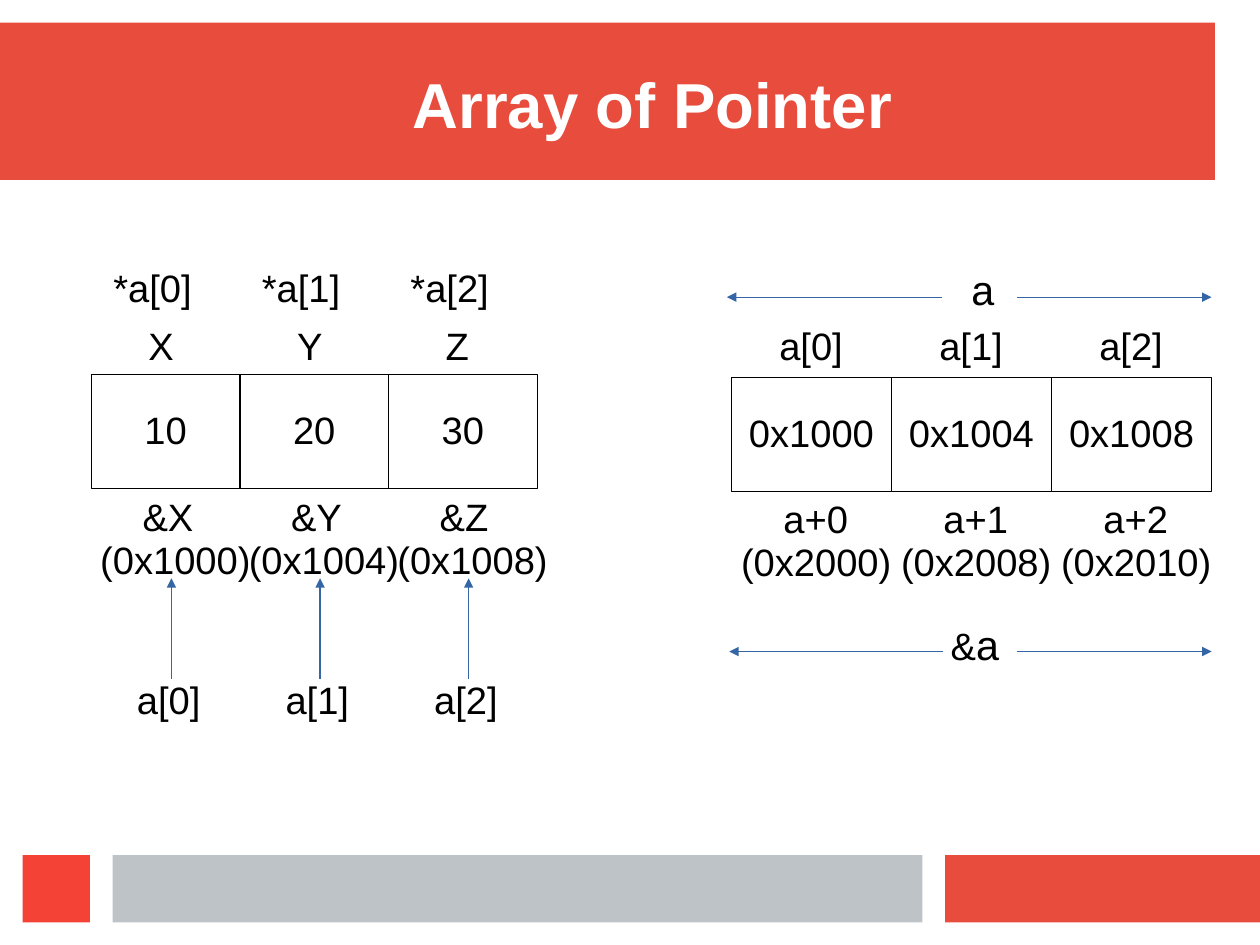
from dataclasses import dataclass

from lxml import etree
from pptx import Presentation
from pptx.dml.color import RGBColor
from pptx.enum.shapes import MSO_CONNECTOR, MSO_SHAPE
from pptx.enum.text import MSO_ANCHOR, MSO_AUTO_SIZE, PP_ALIGN
from pptx.oxml.ns import qn
from pptx.util import Pt

RECTANGLE = MSO_SHAPE.RECTANGLE
STRAIGHT = MSO_CONNECTOR.STRAIGHT
TOP, MIDDLE = MSO_ANCHOR.TOP, MSO_ANCHOR.MIDDLE
LEFT, CENTER = PP_ALIGN.LEFT, PP_ALIGN.CENTER
NO_AUTO_SIZE = MSO_AUTO_SIZE.NONE

SLIDE_WIDTH, SLIDE_HEIGHT = 793.7, 595.28
FONT = "Arial"
TEXT_SIZE, ARRAY_NAME_SIZE, TITLE_SIZE = 24, 26, 40
COLORS = {"red": "E74C3C", "bright red": "F44336", "gray": "BDC3C7",
          "white": "FFFFFF", "black": "000000", "blue": "3465A4"}
VALUE_STEP, POINTER_STEP = 93.6, 100.8


@dataclass
class Bar:
    left: float
    top: float
    width: float
    height: float
    color: str


@dataclass
class CellRow:
    values: tuple[str, ...]
    left: float
    top: float
    step: float


@dataclass
class LabelRow:
    texts: tuple[str, ...]
    left: float
    top: float
    step: float
    width: float = 65
    height: float = 36
    indents: tuple[float, ...] = (0, 0)


@dataclass
class Arrow:
    start: tuple[float, float]
    end: tuple[float, float]


BARS = [
    Bar(0, 14.2, 765.4, 99.2, "red"),
    Bar(595.3, 538.6, 198.4, 42.5, "red"),
    Bar(70.9, 538.6, 510.2, 42.5, "gray"),
    Bar(14.2, 538.6, 42.5, 42.5, "bright red"),
]
CELL_ROWS = [
    CellRow(("10", "20", "30"), 57.6, 235.9, VALUE_STEP),
    CellRow(("0x1000", "0x1004", "0x1008"), 460.8, 237.6, POINTER_STEP),
]
LABEL_ROWS = [
    LabelRow(("*a[0]", "*a[1]", "*a[2]"), 64.3, 165.3, VALUE_STEP, 75),
    LabelRow(("X", "Y", "Z"), 86.4, 201.6, VALUE_STEP),
    LabelRow(("&X\n(0x1000)", "&Y\n(0x1004)", "&Z\n(0x1008)"),
             36, 309.6, VALUE_STEP, 135, 88, (46.7, 20)),
    LabelRow(("a[0]", "a[1]", "a[2]"), 79.2, 424.8, VALUE_STEP),
    LabelRow(("a[0]", "a[1]", "a[2]"), 483.8, 201.6, POINTER_STEP),
    LabelRow(("a+0\n(0x2000)", "a+1\n(0x2008)", "a+2\n(0x2010)"),
             446.4, 311, POINTER_STEP, 135, 88, (40, 13.3)),
]
ADDRESS_ARROWS = [Arrow((x, 427.7), (x, 364.3))
                  for x in (108 + VALUE_STEP * i for i in range(3))]
EXTENT_ARROWS = [
    Arrow((593.3, 187.2), (457.9, 187.2)),
    Arrow((640.8, 187.2), (763.2, 187.2)),
    Arrow((594, 410.4), (459.4, 410.4)),
    Arrow((640.8, 410.4), (763.2, 410.4)),
]


def rgb(name: str) -> RGBColor:
    return RGBColor.from_string(COLORS[name])


def format_font(font, size: float, color: str = "black", bold: bool = False) -> None:
    font.name, font.size, font.bold = FONT, Pt(size), bold
    font.color.rgb = rgb(color)


def format_frame(frame, anchor=TOP) -> None:
    frame.auto_size = NO_AUTO_SIZE
    frame.word_wrap = True
    frame.vertical_anchor = anchor
    frame.margin_left = frame.margin_right = Pt(7.2)
    frame.margin_top = frame.margin_bottom = Pt(3.6)


def format_paragraph(paragraph, alignment=LEFT) -> None:
    paragraph.alignment = alignment
    paragraph.line_spacing = 0.94
    paragraph.space_before = Pt(0)


def add_rectangle(slide, left: float, top: float, width: float, height: float, color: str):
    shape = slide.shapes.add_shape(RECTANGLE, Pt(left), Pt(top), Pt(width), Pt(height))
    shape.shadow.inherit = False
    shape.fill.solid()
    shape.fill.fore_color.rgb = rgb(color)
    shape.line.fill.background()
    return shape


def add_cells(slide, row: CellRow) -> None:
    for index, value in enumerate(row.values):
        cell = add_rectangle(slide, row.left + index * row.step, row.top, row.step, 72, "white")
        cell.line.color.rgb = rgb("black")
        cell.line.width = Pt(0.75)
        format_frame(cell.text_frame, MIDDLE)
        paragraph = cell.text_frame.paragraphs[0]
        paragraph.text = value
        format_paragraph(paragraph, CENTER)
        format_font(paragraph.font, TEXT_SIZE)


def add_label(slide, left: float, top: float, width: float, height: float):
    box = slide.shapes.add_textbox(Pt(left), Pt(top), Pt(width), Pt(height))
    format_frame(box.text_frame)
    return box.text_frame


def add_labels(slide, row: LabelRow) -> None:
    for index, text in enumerate(row.texts):
        frame = add_label(slide, row.left + index * row.step, row.top, row.width, row.height)
        frame.text = text
        for paragraph, indent in zip(frame.paragraphs, row.indents):
            paragraph._p.get_or_add_pPr().set("marL", str(Pt(indent)))
            format_paragraph(paragraph)
            format_font(paragraph.font, TEXT_SIZE)


def add_array_name(slide, left: float, top: float, runs: list[tuple[str, float]]) -> None:
    paragraph = add_label(slide, left, top, 63.4, 40).paragraphs[0]
    format_paragraph(paragraph)
    for text, size in runs:
        run = paragraph.add_run()
        run.text = text
        format_font(run.font, size)


def add_arrow(slide, arrow: Arrow) -> None:
    connector = slide.shapes.add_connector(STRAIGHT, *map(Pt, arrow.start + arrow.end))
    connector.line.color.rgb = rgb("blue")
    connector.line.width = Pt(0.75)
    etree.SubElement(connector.line._get_or_add_ln(), qn("a:tailEnd"), type="triangle")
    etree.SubElement(connector.element.spPr, qn("a:effectLst"))


def set_title(slide, text: str) -> None:
    title = slide.shapes.title
    title.left, title.top, title.width, title.height = map(Pt, (252.7, 41, 320, 52.6))
    format_frame(title.text_frame)
    paragraph = title.text_frame.paragraphs[0]
    paragraph.text = text
    format_paragraph(paragraph)
    format_font(paragraph.font, TITLE_SIZE, "white", bold=True)
    # Bring the title in front of the red bar
    title.element.getparent().append(title.element)


def main() -> None:
    presentation = Presentation()
    presentation.slide_width, presentation.slide_height = Pt(SLIDE_WIDTH), Pt(SLIDE_HEIGHT)
    slide = presentation.slides.add_slide(presentation.slide_layouts[5])

    # Header and footer bars, then the title
    for bar in BARS:
        add_rectangle(slide, bar.left, bar.top, bar.width, bar.height, bar.color)
    set_title(slide, "Array of Pointer")

    # Variables on the left, pointer array on the right
    for cell_row in CELL_ROWS:
        add_cells(slide, cell_row)
    for label_row in LABEL_ROWS:
        add_labels(slide, label_row)

    # Array name and address, with arrows showing their extent
    add_array_name(slide, 604.8, 165.6, [("a", ARRAY_NAME_SIZE)])
    add_array_name(slide, 591.8, 389.2, [("&", TEXT_SIZE), ("a", ARRAY_NAME_SIZE)])
    for arrow in ADDRESS_ARROWS + EXTENT_ARROWS:
        add_arrow(slide, arrow)

    presentation.save("out.pptx")


if __name__ == "__main__":
    main()
